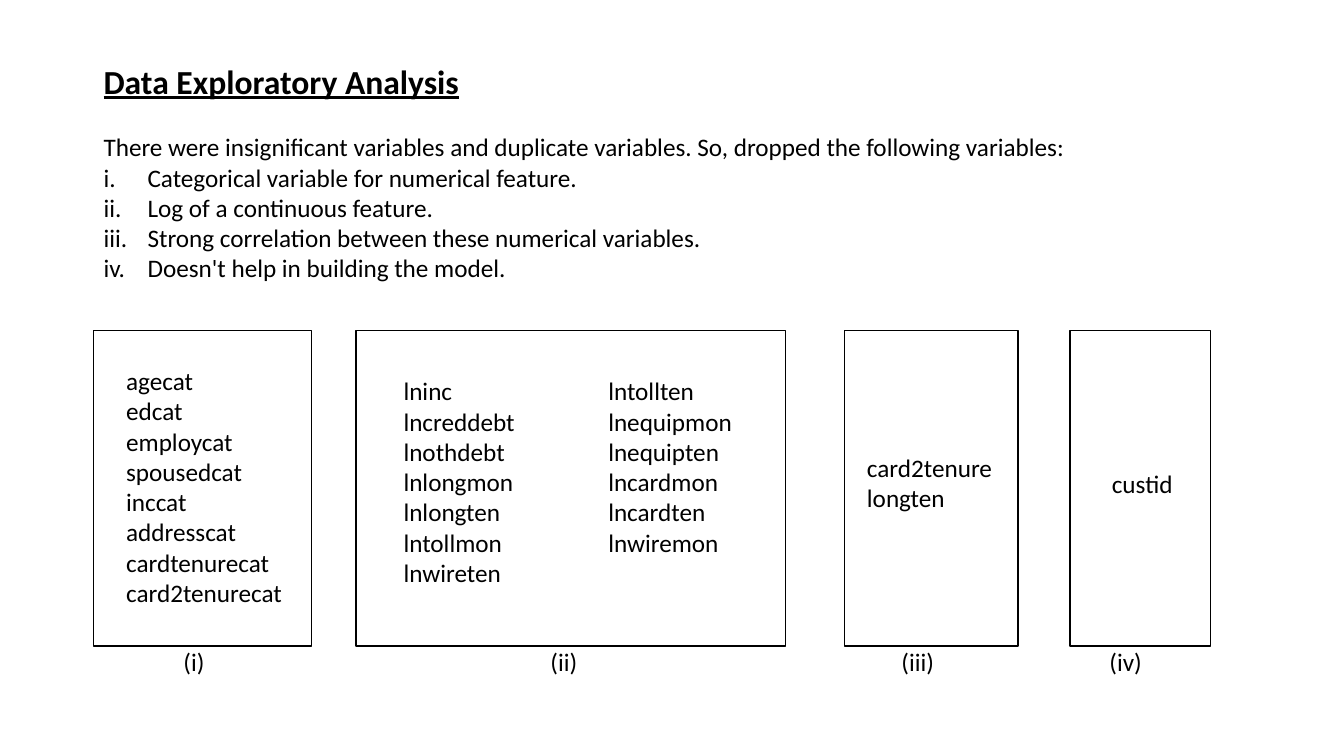
from lxml import etree
from pptx import Presentation
from pptx import util as u
from pptx.dml.color import RGBColor
from pptx.enum import shapes, text
from pptx.oxml.ns import qn

COLORS = {"ink": "000000", "paper": "FFFFFF"}
FONT = "Calibri"
BODY_SIZE = 18
COLUMN_WIDTH = 4.5

REASONS = [
    "Categorical variable for numerical feature.",
    "Log of a continuous feature.",
    "Strong correlation between these numerical variables.",
    "Doesn't help in building the model.",
]

PANELS_TOP, PANELS_HEIGHT = 8.33, 7.95
# label, left, width, label centre, [(column left, column top, variables)]
# Label centres and columns are measured from the panel's top left corner.
PANELS = [
    ("(i)", 2.36, 5.49, 2.53, [
        (0.82, 0.88, "agecat edcat employcat spousedcat inccat addresscat "
                     "cardtenurecat card2tenurecat")]),
    ("(ii)", 8.97, 10.82, 5.24, [
        (1.2, 1.14, "lninc lncreddebt lnothdebt lnlongmon lnlongten "
                    "lntollmon lnwireten"),
        (6.36, 1.14, "lntollten lnequipmon lnequipten lncardmon lncardten "
                     "lnwiremon")]),
    ("(iii)", 21.29, 4.37, 1.84, [(0.56, 3.07, "card2tenure longten")]),
    ("(iv)", 26.97, 3.53, 1.4, [(1.05, 3.46, "custid")]),
]


def rgb(name):
    """Return a named colour."""
    return RGBColor.from_string(COLORS[name])


def add_lines(slide, box, lines, margins=(0, 0), align=text.PP_ALIGN.LEFT):
    """Add a text box with one paragraph per line; return its paragraphs."""
    frame = slide.shapes.add_textbox(*map(u.Cm, box)).text_frame
    frame.word_wrap = True
    frame.margin_left = frame.margin_right = u.Cm(margins[0])
    frame.margin_top = frame.margin_bottom = u.Cm(margins[1])
    frame.text = "\n".join(lines)
    for paragraph in frame.paragraphs:
        paragraph.alignment = align
        paragraph.font.name = FONT
        paragraph.font.size = u.Pt(BODY_SIZE)
        paragraph.font.color.rgb = rgb("ink")
    return frame.paragraphs


def number_roman(paragraph, indent):
    """Number a paragraph i., ii., iii. with a hanging indent."""
    props = paragraph._p.get_or_add_pPr()
    props.set("marL", str(u.Cm(indent)))
    props.set("indent", str(-u.Cm(indent)))
    numbering = etree.Element(qn("a:buAutoNum"), type="romanLcPeriod")
    props.insert_element_before(numbering, "a:tabLst", "a:defRPr", "a:extLst")


def add_summary(slide, box):
    """Add the heading, the introduction and the numbered reasons."""
    heading, intro, *reasons = add_lines(slide, box, [
        "Data Exploratory Analysis",
        "There were insignificant variables and duplicate variables. "
        "So, dropped the following variables:",
        *REASONS,
    ], margins=(0.25, 0.13))
    heading.font.size = u.Pt(24)
    heading.font.bold = heading.font.underline = True
    intro.space_before = u.Pt(22)
    for reason in reasons:
        number_roman(reason, 1.11)


def add_panel(slide, box, label, label_centre, columns):
    """Add a framed panel of dropped variables with its label below."""
    left, top, width, height = box
    panel = slide.shapes.add_shape(
        shapes.MSO_SHAPE.RECTANGLE, *map(u.Cm, box))
    panel.shadow.inherit = False
    panel.fill.solid()
    panel.fill.fore_color.rgb = rgb("paper")
    panel.line.color.rgb = rgb("ink")
    panel.line.width = u.Pt(1)
    for x, y, variables in columns:
        column_width = min(COLUMN_WIDTH, width - x)
        add_lines(slide, (left + x, top + y, column_width, height - y),
                  variables.split())
    label_width = 2
    add_lines(slide, (left + label_centre - label_width / 2, top + height,
                      label_width, 0.8),
              [label], align=text.PP_ALIGN.CENTER)


def build():
    """Build and save the slide."""
    deck = Presentation()
    deck.slide_width, deck.slide_height = u.Cm(33.87), u.Cm(19.05)
    slide = deck.slides.add_slide(deck.slide_layouts[6])
    add_summary(slide, (2.36, 1.4, 30.53, 6))
    for label, left, width, label_centre, columns in PANELS:
        add_panel(slide, (left, PANELS_TOP, width, PANELS_HEIGHT),
                  label, label_centre, columns)
    deck.save("out.pptx")


build()
